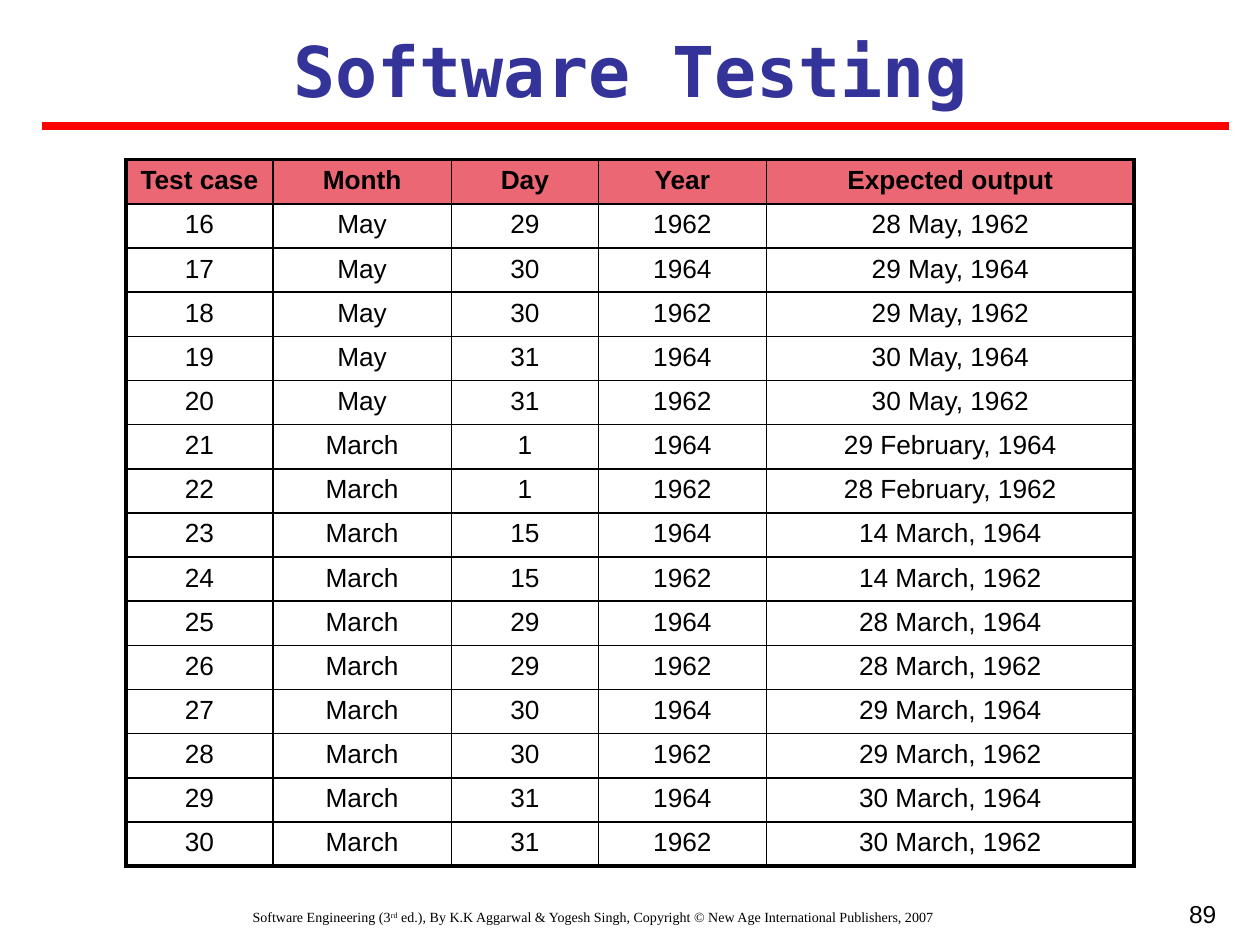
from lxml.etree import SubElement
from pptx import Presentation
from pptx.dml.color import RGBColor
from pptx.enum.shapes import MSO_CONNECTOR
from pptx.enum.text import MSO_ANCHOR, MSO_AUTO_SIZE, PP_ALIGN
from pptx.oxml.ns import qn
from pptx.util import Cm, Pt

COLORS = {"text": "000000", "title": "333399", "rule": "FF0000", "header": "EB6774"}
BODY_FONT, TITLE_FONT, FOOTER_FONT = "Arial", "DejaVu Sans Mono", "Times New Roman"
THIN, THICK = 1, 2.25

HEADINGS = ("Test case", "Month", "Day", "Year", "Expected output")
FIRST_CASE = 16
CASES = [
    ("May", 29, 1962, "28 May"),
    ("May", 30, 1964, "29 May"),
    ("May", 30, 1962, "29 May"),
    ("May", 31, 1964, "30 May"),
    ("May", 31, 1962, "30 May"),
    ("March", 1, 1964, "29 February"),
    ("March", 1, 1962, "28 February"),
    ("March", 15, 1964, "14 March"),
    ("March", 15, 1962, "14 March"),
    ("March", 29, 1964, "28 March"),
    ("March", 29, 1962, "28 March"),
    ("March", 30, 1964, "29 March"),
    ("March", 30, 1962, "29 March"),
    ("March", 31, 1964, "30 March"),
    ("March", 31, 1962, "30 March"),
]
COLUMN_WIDTHS = (2.96, 3.6, 2.96, 3.39, 7.41)
ROW_HEIGHT = 0.89


def rgb(name):
    return RGBColor.from_string(COLORS[name])


class SlideBuilder:
    def __init__(self, prs):
        self.slide = prs.slides.add_slide(prs.slide_layouts[5])

    def style(self, paragraph, font, size, align=PP_ALIGN.CENTER, bold=False, color="text"):
        paragraph.alignment = align
        paragraph.font.name = font
        paragraph.font.size = Pt(size)
        paragraph.font.bold = bold
        paragraph.font.color.rgb = rgb(color)

    def title(self, text, left, top, width, height):
        title = self.slide.shapes.title
        title.left, title.top, title.width, title.height = map(Cm, (left, top, width, height))
        frame = title.text_frame
        frame.text = text
        frame.vertical_anchor = MSO_ANCHOR.TOP
        frame.auto_size = MSO_AUTO_SIZE.SHAPE_TO_FIT_TEXT
        self.style(frame.paragraphs[0], TITLE_FONT, 40, bold=True, color="title")

    def text(self, parts, left, top, width, height, font, size, align=PP_ALIGN.CENTER):
        """Add a one-line box; parts are (text, is_superscript) pairs."""
        box = self.slide.shapes.add_textbox(*map(Cm, (left, top, width, height)))
        box.text_frame.word_wrap = True
        paragraph = box.text_frame.paragraphs[0]
        for words, superscript in parts:
            run = paragraph.add_run()
            run.text = words
            if superscript:
                run.font._element.set("baseline", "30000")
        self.style(paragraph, font, size, align)

    def rule(self, left, right, y):
        line = self.slide.shapes.add_connector(
            MSO_CONNECTOR.STRAIGHT, Cm(left), Cm(y), Cm(right), Cm(y))
        line.line.color.rgb = rgb("rule")
        line.line.width = Pt(4.5)
        SubElement(line._element.spPr, qn("a:effectLst"))

    def borders(self, cell, widths):
        """Draw the left, right, top and bottom edges in the given point widths."""
        properties = cell._tc.get_or_add_tcPr()
        for side, width in zip("LRTB", widths):
            edge = SubElement(properties, qn(f"a:ln{side}"), w=str(Pt(width)))
            fill = SubElement(edge, qn("a:solidFill"))
            SubElement(fill, qn("a:srgbClr"), val=COLORS["text"])

    def table(self, rows, left, top):
        last_row, last_col = len(rows) - 1, len(COLUMN_WIDTHS) - 1
        table = self.slide.shapes.add_table(
            len(rows), len(COLUMN_WIDTHS), Cm(left), Cm(top),
            Cm(sum(COLUMN_WIDTHS)), Cm(ROW_HEIGHT * len(rows))).table
        table.horz_banding = False
        for column, width in zip(table.columns, COLUMN_WIDTHS):
            column.width = Cm(width)
        for r, values in enumerate(rows):
            table.rows[r].height = Cm(ROW_HEIGHT)
            for c, value in enumerate(values):
                cell = table.cell(r, c)
                outer = (c == 0, c == last_col, r == 0, r == last_row)
                self.borders(cell, [THICK if edge else THIN for edge in outer])
                if r == 0:
                    cell.fill.solid()
                    cell.fill.fore_color.rgb = rgb("header")
                else:
                    cell.fill.background()
                cell.text = str(value)
                self.style(cell.text_frame.paragraphs[0], BODY_FONT, 15, bold=r == 0)


def main():
    prs = Presentation()
    prs.slide_width, prs.slide_height = Cm(25.4), Cm(19.05)
    builder = SlideBuilder(prs)

    footer = [
        ("Software Engineering (3", False),
        ("rd", True),
        (" ed.), By K.K Aggarwal & Yogesh Singh, Copyright © "
         "New Age International Publishers, 2007", False),
    ]
    builder.text(footer, 0.64, 18.2, 22.65, 0.85, FOOTER_FONT, 8)
    builder.text([("89", False)], 18.84, 17.99, 5.93, 1.5, BODY_FONT, 14, PP_ALIGN.RIGHT)
    builder.title("Software Testing", 0.85, 0.42, 23.71, 1.96)
    builder.rule(0.85, 24.77, 2.54)

    cases = [(number, month, day, year, f"{result}, {year}")
             for number, (month, day, year, result) in enumerate(CASES, FIRST_CASE)]
    builder.table([HEADINGS, *cases], 2.54, 3.22)
    prs.save("out.pptx")


if __name__ == "__main__":
    main()
